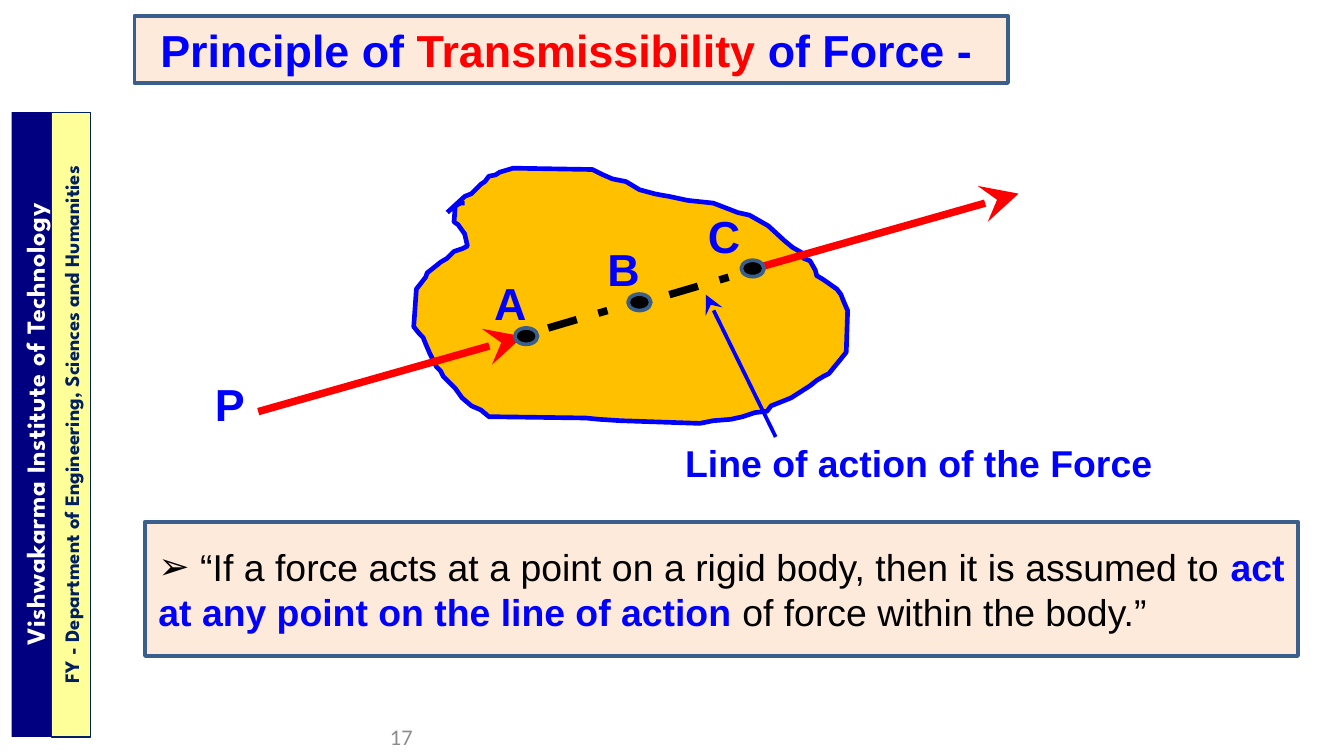
from lxml.etree import SubElement
from pptx import Presentation
from pptx.dml.color import RGBColor
from pptx.enum.dml import MSO_LINE
from pptx.enum.shapes import MSO_CONNECTOR, MSO_SHAPE
from pptx.enum.text import MSO_ANCHOR, MSO_AUTO_SIZE, PP_ALIGN
from pptx.oxml.ns import qn
from pptx.util import Cm, Pt

COLORS = {
    "blue": "0000FF", "red": "FF0000", "black": "000000", "white": "FFFFFF",
    "peach": "FDEADA", "border": "3A5F8C", "amber": "FFC000", "grey": "8C8C8C",
    "navy": "000080", "yellow": "FFFF99", "ink": "002060",
}
FRAME = {"word_wrap": True, "auto_size": MSO_AUTO_SIZE.NONE,
         "vertical_anchor": MSO_ANCHOR.MIDDLE}
HEADING = {"name": "Arial", "size": Pt(24), "bold": True}
CAPTION = {"name": "Arial", "size": Pt(20), "bold": True}
STATEMENT = {"name": "Arial", "size": Pt(20), "bold": False}
PAGE = {"name": "Calibri", "size": Pt(12), "bold": False}

# Outline of the rigid body on a grid GRID_WIDTH units wide
GRID_WIDTH = 323
OUTLINE = [
    (25, 33), (38, 21), (43, 19), (50, 12), (53, 10), (56, 6), (61, 5), (64, 3),
    (74, 0), (133, 1), (141, 5), (148, 8), (158, 10), (168, 16), (179, 19),
    (184, 20), (190, 21), (204, 24), (223, 26), (236, 31), (241, 33), (250, 35),
    (264, 43), (276, 54), (282, 59), (289, 63), (290, 67), (295, 69), (299, 76),
    (300, 80), (305, 83), (315, 90), (318, 94), (320, 99), (323, 106),
    (322, 137), (318, 142), (309, 153), (305, 155), (300, 158), (295, 162),
    (281, 171), (271, 175), (266, 177), (263, 181), (254, 182), (245, 185),
    (236, 187), (223, 188), (213, 190), (154, 188), (138, 187), (128, 186),
    (56, 185), (50, 180), (43, 177), (36, 171), (31, 164), (28, 161), (22, 155),
    (20, 151), (17, 148), (12, 138), (9, 131), (7, 126), (4, 123), (0, 118),
    (2, 90), (9, 81), (10, 78), (20, 70), (25, 67), (30, 62), (36, 60),
    (40, 58), (38, 49), (33, 42), (30, 40), (31, 28), (35, 26), (38, 26),
]


def rgb(color):
    return RGBColor.from_string(COLORS[color])


def apply(target, settings):
    for name, value in settings.items():
        setattr(target, name, value)


def paint(shape, fill, line=None, width=2):
    shape.fill.solid()
    shape.fill.fore_color.rgb = rgb(fill)
    if line:
        shape.line.color.rgb = rgb(line)
        shape.line.width = Pt(width)
    else:
        shape.line.fill.background()


def place(shape, box):
    apply(shape, dict(zip(("left", "top", "width", "height"), map(Cm, box))))


def write(shape, runs, font, align=PP_ALIGN.LEFT):
    """Fill the shape with one paragraph of (text, color, font changes) runs."""
    apply(shape.text_frame, FRAME)
    paragraph = shape.text_frame.paragraphs[0]
    apply(paragraph, {"alignment": align, "space_before": Pt(0)})
    for text, color, *changes in runs:
        run = paragraph.add_run()
        run.text = text
        apply(run.font, font)
        for change in changes:
            apply(run.font, change)
        run.font.color.rgb = rgb(color)
    return paragraph


def add_label(slide, text, box, font, color="blue", align=PP_ALIGN.LEFT):
    label = slide.shapes.add_textbox(*map(Cm, box))
    write(label, [(text, color)], font, align)


def add_line(slide, start, end, color, width, arrow=False):
    line = slide.shapes.add_connector(
        MSO_CONNECTOR.STRAIGHT, *map(Cm, (*start, *end)))
    line.line.color.rgb = rgb(color)
    line.line.width = Pt(width)
    if arrow:
        SubElement(line.line._get_or_add_ln(), qn("a:tailEnd"),
                   type="stealth", w="lg", len="lg")
    else:
        line.line.dash_style = MSO_LINE.DASH
    SubElement(line._element.spPr, qn("a:effectLst"))


def add_title(slide, box):
    title = slide.shapes.title
    place(title, box)
    paint(title, "peach", "border")
    write(title, [(" Principle of ", "blue"), ("Transmissibility", "red"),
                  (" of Force -", "blue")], HEADING)


def add_statement(slide, box):
    statement = slide.placeholders[1]
    place(statement, box)
    paint(statement, "peach", "border")
    paragraph = write(statement, [
        (" “If a force acts at a point on a rigid body, then it is assumed to ",
         "black"),
        ("act at any point on the line of action", "blue", {"bold": True}),
        (" of force within the body.”", "black"),
    ], STATEMENT, PP_ALIGN.JUSTIFY)
    properties = paragraph._p.get_or_add_pPr()
    properties.set("marL", "0")
    properties.set("indent", "0")
    SubElement(properties, qn("a:buChar"), char="➢")


def add_rigid_body(slide, left, top, width):
    builder = slide.shapes.build_freeform(
        *OUTLINE[0], scale=Cm(width) / GRID_WIDTH)
    builder.add_line_segments(OUTLINE[1:], close=False)
    body = builder.convert_to_shape(Cm(left), Cm(top))
    body.shadow.inherit = False
    paint(body, "amber", "blue", 2.5)


def add_force_diagram(slide, left, top):
    def at(x, y):
        return left + x, top + y

    add_rigid_body(slide, *at(4.01, 0), 8.2)
    add_line(slide, at(1.07, 4.6), at(6.07, 3.18), "red", 4, arrow=True)
    add_line(slide, at(10.44, 1.9), at(15.44, 0.48), "red", 4, arrow=True)
    for step in range(2):
        x, y = 6.55 + 2.29 * step, 3.02 - 0.63 * step
        add_line(slide, at(x, y), at(x + 1.12, y - 0.33), "black", 4)
    for step in range(3):
        point = slide.shapes.add_shape(
            MSO_SHAPE.OVAL,
            *map(Cm, (*at(5.92 + 2.14 * step, 3.02 - 0.64 * step), 0.43, 0.31)))
        point.shadow.inherit = False
        paint(point, "black", "border")
    for letter, x, y in (("P", 0, 3.81), ("A", 5.28, 1.9),
                         ("B", 7.42, 1.27), ("C", 9.32, 0.64)):
        add_label(slide, letter, (*at(x, y), 1.07, 1.27), HEADING)
    add_label(slide, "Line of action of the Force",
              (*at(8.89, 4.93), 11.23, 1.27), CAPTION)
    add_line(slide, at(10.85, 5.08), at(9.53, 2.39), "blue", 2, arrow=True)


def add_sidebar(slide, left, top, height):
    """Stand two strips side by side, their text reading upwards."""
    strips = (
        ("Vishwakarma Institute of Technology", 0, 0.86, 14, "white", "navy", None),
        ("FY - Department of Engineering, Sciences and Humanities",
         0.75, 0.74, 11, "ink", "yellow", "ink"),
    )
    for text, offset, width, size, color, fill, line in strips:
        center_x, center_y = left + offset + width / 2, top + height / 2
        strip = slide.shapes.add_shape(
            MSO_SHAPE.RECTANGLE,
            *map(Cm, (center_x - height / 2, center_y - width / 2, height, width)))
        strip.rotation = 270
        strip.shadow.inherit = False
        paint(strip, fill, line, 0.75)
        font = {"name": "League Spartan", "size": Pt(size), "bold": True}
        paragraph = write(strip, [(text, color)], font, PP_ALIGN.CENTER)
        if fill == "navy":
            paragraph.runs[0].font._element.set("spc", "30")


def main():
    deck = Presentation()
    deck.slide_width, deck.slide_height = Cm(25.4), Cm(14.29)
    slide = deck.slides.add_slide(deck.slide_layouts[1])
    add_title(slide, (2.54, 0.3, 16.51, 1.27))
    add_statement(slide, (2.74, 9.86, 21.79, 2.54))
    add_label(slide, "17", (2.54, 13.54, 5.51, 0.76), PAGE, "grey", PP_ALIGN.RIGHT)
    add_force_diagram(slide, 3.81, 3.18)
    add_sidebar(slide, 0.22, 2.12, 11.81)
    deck.save("out.pptx")


if __name__ == "__main__":
    main()
